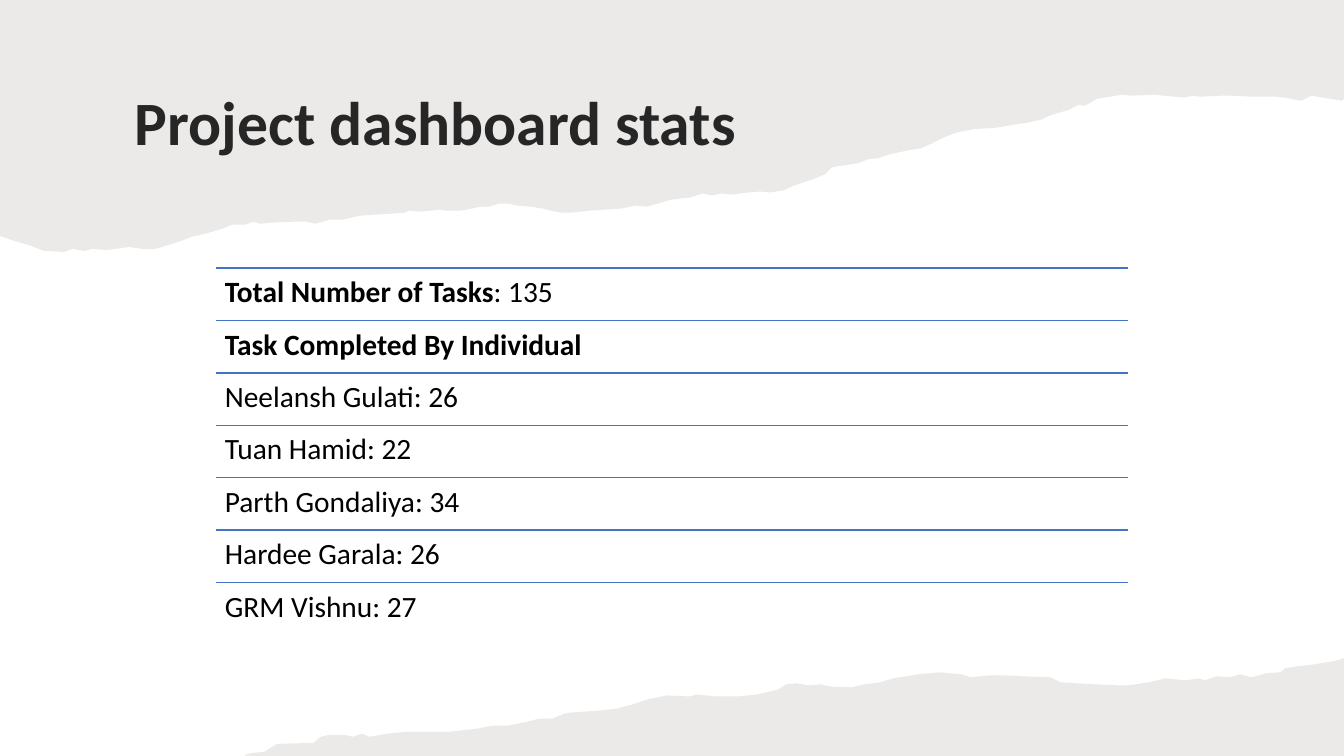
from dataclasses import dataclass

from lxml import etree
from pptx import Presentation
from pptx import util as u
from pptx.dml.color import RGBColor
from pptx.enum import shapes, text
from pptx.oxml.ns import qn


@dataclass(frozen=True)
class Theme:
    font: str = "Calibri"
    paper: str = "82766A"
    alpha: int = 15000
    title: str = "262626"
    body: str = "000000"
    rule: str = "4472C4"
    head: int = 44
    row: int = 21


THEME = Theme()
WIDE, HIGH = 13.33, 7.5

# Torn edges, as points in inches from left to right
UPPER = [
    (0, 2.34), (0.11, 2.38), (0.31, 2.44), (0.44, 2.49), (0.64, 2.5), (0.72, 2.47),
    (0.83, 2.49), (0.92, 2.47), (1.06, 2.48), (1.15, 2.47), (1.28, 2.45), (1.41, 2.47),
    (1.54, 2.47), (1.77, 2.4), (1.9, 2.35), (2.03, 2.32), (2.14, 2.29), (2.23, 2.26),
    (2.3, 2.23), (2.43, 2.23), (2.51, 2.2), (2.58, 2.22), (2.69, 2.21), (2.91, 2.2),
    (3.04, 2.2), (3.13, 2.22), (3.27, 2.18), (3.4, 2.18), (3.57, 2.14), (3.71, 2.13),
    (3.88, 2.12), (4.01, 2.11), (4.06, 2.09), (4.15, 2.1), (4.28, 2.09), (4.36, 2.08),
    (4.43, 2.09), (4.57, 2.09), (4.68, 2.07), (4.77, 2.05), (4.86, 2.05), (4.95, 2.02),
    (5.05, 2.02), (5.12, 2.04), (5.25, 2.05), (5.39, 2.07), (5.46, 2.09), (5.57, 2.11),
    (5.67, 2.11), (5.85, 2.09), (6, 2.08), (6.16, 2.07), (6.31, 2.04), (6.42, 2.05),
    (6.66, 1.98), (6.84, 1.96), (6.97, 1.92), (7.06, 1.94), (7.15, 1.92), (7.27, 1.93),
    (7.42, 1.91), (7.54, 1.9), (7.64, 1.91), (7.77, 1.89), (7.88, 1.84), (8.06, 1.78),
    (8.18, 1.73), (8.25, 1.66), (8.51, 1.62), (8.61, 1.58), (8.71, 1.57), (8.83, 1.53),
    (8.97, 1.5), (9.14, 1.47), (9.25, 1.42), (9.39, 1.35), (9.51, 1.31), (9.67, 1.28),
    (9.86, 1.27), (9.99, 1.25), (10.1, 1.23), (10.18, 1.22), (10.32, 1.19), (10.43, 1.14),
    (10.6, 1.09), (10.7, 1.04), (10.76, 1.05), (10.88, 0.98), (11.13, 0.94), (11.22, 0.95),
    (11.45, 0.94), (11.75, 0.97), (11.83, 0.95), (11.91, 0.96), (12.1, 0.95), (12.22, 0.95),
    (12.43, 0.96), (12.65, 0.96), (12.75, 0.97), (12.9, 1), (13.01, 0.95), (13.19, 0.98),
    (13.31, 1), (13.33, 0.98),
]
LOWER = [
    (2.43, 7.49), (2.5, 7.47), (2.62, 7.46), (2.75, 7.38), (3.11, 7.37), (3.18, 7.31),
    (3.27, 7.29), (3.41, 7.29), (3.5, 7.31), (3.59, 7.28), (3.67, 7.31), (3.83, 7.28),
    (4.03, 7.26), (4.24, 7.26), (4.46, 7.26), (4.73, 7.23), (4.88, 7.2), (5.04, 7.2),
    (5.23, 7.16), (5.35, 7.13), (5.48, 7.13), (5.6, 7.08), (5.66, 7.07), (5.95, 7.05),
    (6.12, 7.03), (6.27, 6.99), (6.42, 6.94), (6.62, 6.9), (6.84, 6.91), (6.91, 6.89),
    (7.1, 6.91), (7.32, 6.91), (7.51, 6.89), (7.6, 6.87), (7.72, 6.84), (7.8, 6.79),
    (7.9, 6.78), (8.02, 6.8), (8.14, 6.79), (8.23, 6.81), (8.45, 6.82), (8.57, 6.79),
    (8.73, 6.77), (8.86, 6.73), (9.11, 6.69), (9.32, 6.67), (9.53, 6.69), (9.63, 6.72),
    (9.82, 6.7), (9.93, 6.7), (10.15, 6.71), (10.42, 6.72), (10.52, 6.77), (10.87, 6.79),
    (11.1, 6.8), (11.19, 6.8), (11.39, 6.77), (11.56, 6.73), (11.76, 6.75), (11.89, 6.73),
    (11.95, 6.75), (12.07, 6.71), (12.2, 6.72), (12.3, 6.69), (12.41, 6.72), (12.56, 6.68),
    (12.7, 6.67), (12.75, 6.63), (12.87, 6.61), (13.05, 6.59), (13.1, 6.58), (13.23, 6.56),
    (13.33, 6.53),
]

# Each row is a list of (words, bold) runs
ROWS = [
    [("Total Number of Tasks", True), (": 135", False)],
    [("Task Completed By Individual", True)],
    [("Neelansh Gulati: 26", False)],
    [("Tuan Hamid: 22", False)],
    [("Parth Gondaliya: 34", False)],
    [("Hardee Garala: 26", False)],
    [("GRM Vishnu: 27", False)],
]
LEFT, TOP, SPAN, STEP = 2.14, 2.66, 9.05, 0.52


def add_torn(slide, edge, side):
    """Fill from a torn edge to the slide side at height `side`."""
    outline = edge + [(WIDE, side), (edge[0][0], side)]
    start, *rest = [(u.Inches(x), u.Inches(y)) for x, y in outline]
    form = slide.shapes.build_freeform(*start)
    form.add_line_segments(rest, close=True)
    shape = form.convert_to_shape()
    shape.shadow.inherit = False
    shape.line.fill.background()
    shape.fill.solid()
    shape.fill.fore_color.rgb = RGBColor.from_string(THEME.paper)
    color = next(shape.fill._xPr.iter(qn("a:srgbClr")))
    etree.SubElement(color, qn("a:alpha"), val=str(THEME.alpha))


def add_text(slide, box, runs, size, color, inset, anchor):
    frame = slide.shapes.add_textbox(*map(u.Inches, box)).text_frame
    frame.word_wrap = True
    frame.vertical_anchor = anchor
    frame.margin_left = frame.margin_right = u.Inches(inset)
    frame.margin_top = frame.margin_bottom = u.Inches(inset)
    para = frame.paragraphs[0]
    para.line_spacing = 0.9
    for words, bold in runs:
        run = para.add_run()
        run.text = words
        run.font.name = THEME.font
        run.font.size = u.Pt(size)
        run.font.bold = bold
        run.font.color.rgb = RGBColor.from_string(color)


def add_rule(slide, x, y, span):
    ends = map(u.Inches, (x, y, x + span, y))
    line = slide.shapes.add_connector(shapes.MSO_CONNECTOR.STRAIGHT, *ends)
    line.line.color.rgb = RGBColor.from_string(THEME.rule)
    line.line.width = u.Pt(1)
    etree.SubElement(line._element.spPr, qn("a:effectLst"))


def main():
    deck = Presentation()
    deck.slide_width, deck.slide_height = u.Inches(WIDE), u.Inches(HIGH)
    slide = deck.slides.add_slide(deck.slide_layouts[6])

    # Header band and title
    add_torn(slide, UPPER, 0)
    add_text(slide, (1.24, 0.6, 10.44, 1.3), [("Project dashboard stats", True)],
             THEME.head, THEME.title, 0.1, text.MSO_ANCHOR.MIDDLE)

    # Ruled list of figures
    for i, runs in enumerate(ROWS):
        y = TOP + i * STEP
        add_rule(slide, LEFT, y, SPAN)
        add_text(slide, (LEFT, y, SPAN, STEP), runs,
                 THEME.row, THEME.body, 0.09, text.MSO_ANCHOR.TOP)

    # Footer band
    add_torn(slide, LOWER, HIGH)
    deck.save("out.pptx")


if __name__ == "__main__":
    main()
